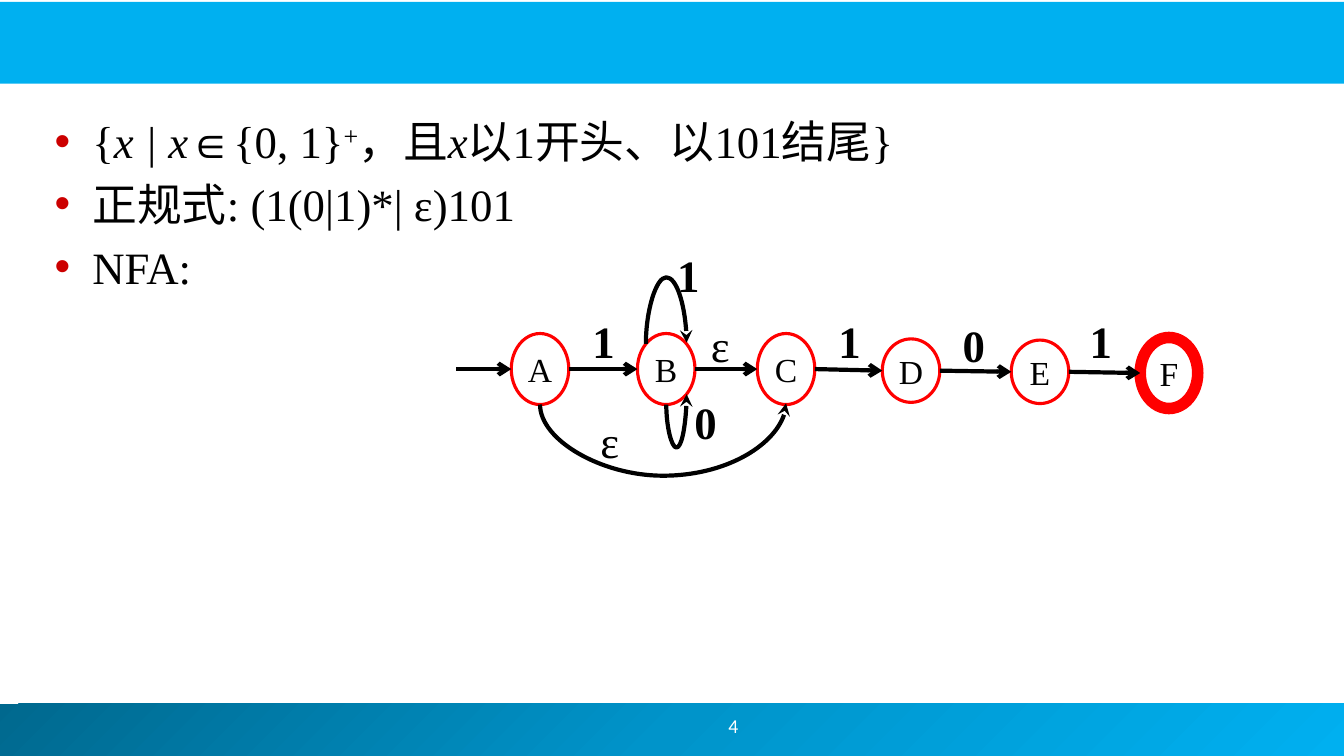
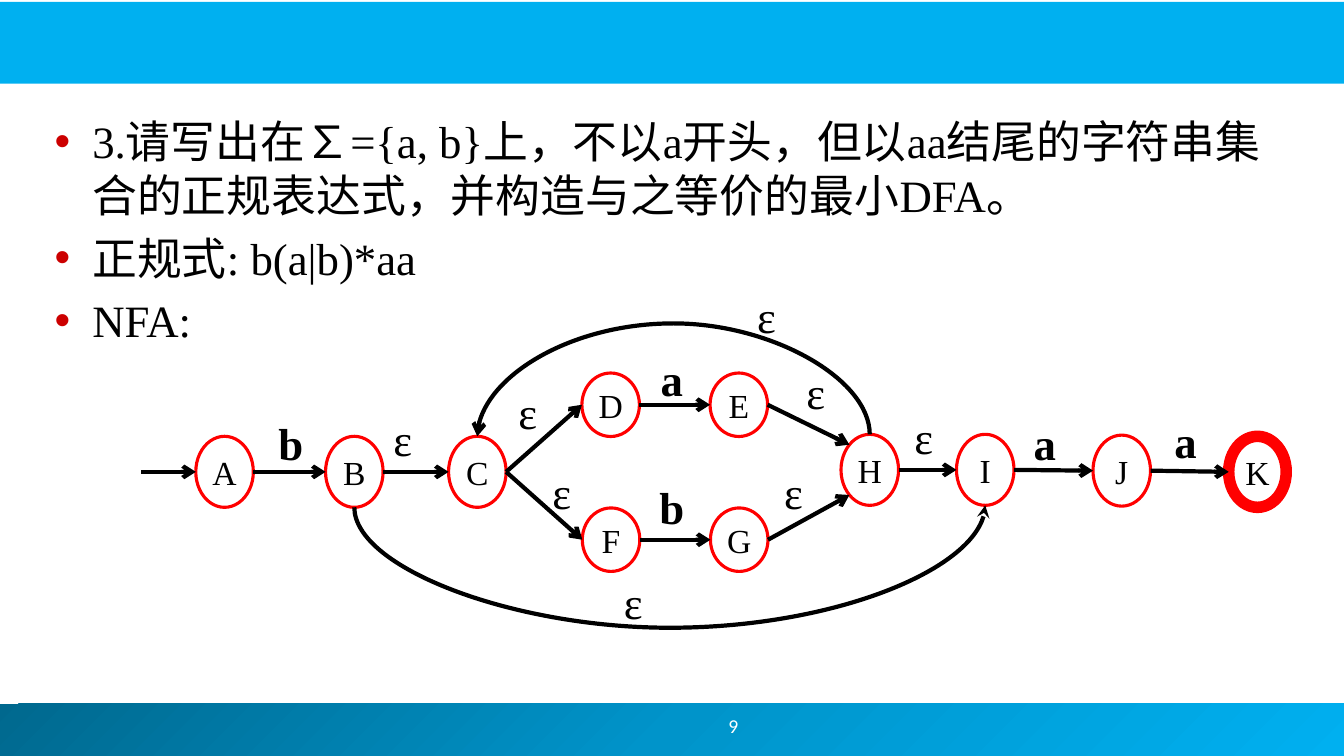
"""Build two slides that show regular expressions with their NFA diagrams."""
import copy
from dataclasses import dataclass
from typing import Any, Optional

import lxml.etree
import pptx
import pptx.dml.color
import pptx.enum.shapes
import pptx.enum.text
import pptx.oxml.ns
import pptx.util

Cm = pptx.util.Cm
Pt = pptx.util.Pt
qn = pptx.oxml.ns.qn
SHAPE = pptx.enum.shapes.MSO_SHAPE
CONNECTOR = pptx.enum.shapes.MSO_CONNECTOR
ANCHOR = pptx.enum.text.MSO_ANCHOR
CENTER = pptx.enum.text.PP_ALIGN.CENTER

COLORS = {
    "band": "00B0F0",
    "footer_start": "00688E",
    "footer_middle": "0094CA",
    "bullet": "CC0000",
    "state": "FF0000",
    "text": "000000",
    "page": "FFFFFF",
}
SERIF = "Times New Roman"
BODY_FONT = {"name": SERIF, "size": Pt(32)}
STATE_FONT = {"name": SERIF, "size": Pt(24)}
PAGE_FONT = {"name": "Calibri", "size": Pt(14)}
STATE_WIDTH = 1.45
ENTRY_LENGTH = 1.38
LABEL_WIDTH, LABEL_HEIGHT = 1.07, 1.63
SIDES = {
    "left": (0, 0.5),
    "right": (1, 0.5),
    "top": (0.5, 0),
    "bottom": (0.5, 1),
    "top left": (0.146, 0.146),
    "top right": (0.854, 0.146),
    "bottom left": (0.146, 0.854),
    "bottom right": (0.854, 0.854),
}


@dataclass(frozen=True)
class Run:
    text: str
    italic: bool = False
    superscript: bool = False


@dataclass(frozen=True)
class State:
    name: str
    x: float
    y: float
    height: float = 1.79
    final: bool = False

    def point(self, side: str) -> tuple[float, float]:
        across, down = SIDES[side]
        return self.x + (across - 0.5) * STATE_WIDTH, self.y + (down - 0.5) * self.height


@dataclass(frozen=True)
class Transition:
    source: str
    target: str
    label: str
    label_x: float
    label_top: float
    leave: str = "right"
    enter: str = "left"
    bend: Optional[float] = None
    head: str = "arrow"


@dataclass(frozen=True)
class Automaton:
    page: str
    bullets: list[list[Run]]
    states: list[State]
    transitions: list[Transition]


AUTOMATA = [
    Automaton(
        "4",
        [
            [
                Run("{"), Run("x | x", italic=True), Run("∈{0, 1}"),
                Run("+", superscript=True), Run("，且"), Run("x", italic=True),
                Run("以1开头、以101结尾}"),
            ],
            [Run("正规式: (1(0|1)*| ε)101")],
            [Run("NFA:")],
        ],
        [
            State("A", 13.61, 9.3),
            State("B", 16.79, 9.3),
            State("C", 19.81, 9.3),
            State("D", 22.96, 9.34, 1.6),
            State("E", 26.21, 9.37, 1.6),
            State("F", 29.46, 9.4, final=True),
        ],
        [
            Transition("A", "B", "1", 15.21, 7.77),
            Transition("B", "C", "ε", 18.15, 7.87),
            Transition("C", "D", "1", 21.41, 7.77),
            Transition("D", "E", "0", 24.54, 7.87),
            Transition("E", "F", "1", 27.74, 7.77),
            Transition("B", "B", "1", 17.35, 6.12, "top left", "top right", 6.99, "stealth"),
            Transition("B", "B", "0", 17.78, 9.83, "bottom", "bottom right", 11.28, "stealth"),
            Transition("A", "C", "ε", 15.37, 10.29, "bottom", "bottom", 11.99, "stealth"),
        ],
    ),
    Automaton(
        "9",
        [
            [Run("3.请写出在∑={a, b}上，不以a开头，但以aa结尾的字符串集合的正规表达式，并构造与之等价的最小DFA。")],
            [Run("正规式: b(a|b)*aa")],
            [Run("NFA:")],
        ],
        [
            State("A", 5.66, 11.89),
            State("B", 8.93, 11.89),
            State("C", 12.03, 11.89),
            State("D", 15.39, 10.2, 1.6),
            State("E", 18.62, 10.2, 1.6),
            State("F", 15.4, 13.6, 1.6),
            State("G", 18.63, 13.6, 1.6),
            State("H", 21.92, 11.84),
            State("I", 24.83, 11.84),
            State("J", 28.27, 11.86),
            State("K", 31.69, 11.89, final=True),
        ],
        [
            Transition("A", "B", "b", 7.3, 10.34),
            Transition("B", "C", "ε", 10.15, 10.26),
            Transition("C", "D", "ε", 13.3, 9.58),
            Transition("C", "F", "ε", 14.16, 11.58),
            Transition("D", "E", "a", 16.93, 8.74),
            Transition("F", "G", "b", 16.9, 11.96),
            Transition("E", "H", "ε", 20.56, 9.07, enter="top left"),
            Transition("G", "H", "ε", 20, 11.58, enter="bottom left"),
            Transition("H", "I", "ε", 23.28, 10.19),
            Transition("I", "J", "a", 26.33, 10.36),
            Transition("J", "K", "a", 29.88, 10.29),
            Transition("H", "C", "ε", 19.32, 7.14, "top", "top", 8.15),
            Transition("B", "I", "ε", 15.96, 14.35, "bottom", "bottom", 15.82, "stealth"),
        ],
    ),
]


def rgb(name: str) -> pptx.dml.color.RGBColor:
    """Return a named colour."""
    return pptx.dml.color.RGBColor.from_string(COLORS[name])


def set_attributes(target: Any, values: dict[str, Any]) -> None:
    """Set every given attribute on the target."""
    for name, value in values.items():
        setattr(target, name, value)


def add_run(paragraph: Any, text: str, font: dict[str, Any], color: str = "text") -> Any:
    """Append formatted text to a paragraph."""
    run = paragraph.add_run()
    run.text = text
    set_attributes(run.font, font)
    run.font.color.rgb = rgb(color)
    return run


def write_centered(shape: Any, text: str, font: dict[str, Any], color: str = "text",
                   anchor: Any = ANCHOR.MIDDLE) -> None:
    """Write one centred line that does not wrap."""
    set_attributes(shape.text_frame, {"word_wrap": False, "vertical_anchor": anchor})
    paragraph = shape.text_frame.paragraphs[0]
    paragraph.alignment = CENTER
    add_run(paragraph, text, font, color)


def add_bands(slide: Any) -> None:
    """Draw the header and footer bands and move them to the layout."""
    footer = slide.shapes.add_shape(SHAPE.RECTANGLE, Cm(-0.13), Cm(17.73), Cm(34), Cm(1.32))
    header = slide.shapes.add_shape(SHAPE.RECTANGLE, Cm(-0.05), Cm(0.05), Cm(33.93), Cm(2.06))
    header.fill.solid()
    header.fill.fore_color.rgb = rgb("band")
    footer.fill.gradient()
    footer.fill.gradient_angle = 315
    stop_list = footer.element.spPr.find(".//" + qn("a:gsLst"))
    stop_list.insert(1, copy.deepcopy(stop_list[0]))
    names = ("footer_start", "footer_middle", "band")
    for index, (stop, name) in enumerate(zip(footer.fill.gradient_stops, names)):
        stop.color.rgb = rgb(name)
        stop.position = index / 2
    for index, band in enumerate((footer, header)):
        band.line.fill.background()
        band.shadow.inherit = False
        slide.slide_layout.shapes.element.insert(2 + index, band.element)


def fill_body(body: Any, bullets: list[list[Run]]) -> None:
    """Place the body placeholder and write its bullets."""
    set_attributes(body, {"left": Cm(1.12), "top": Cm(2.74), "width": Cm(31.6), "height": Cm(13.82)})
    frame = body.text_frame
    frame.auto_size = pptx.enum.text.MSO_AUTO_SIZE.NONE
    for index, runs in enumerate(bullets):
        paragraph = frame.add_paragraph() if index else frame.paragraphs[0]
        properties = paragraph._p.get_or_add_pPr()
        bullet_color = lxml.etree.SubElement(properties, qn("a:buClr"))
        lxml.etree.SubElement(bullet_color, qn("a:srgbClr"), val=COLORS["bullet"])
        for item in runs:
            run = add_run(paragraph, item.text, {**BODY_FONT, "italic": item.italic})
            if item.superscript:
                run.font._element.set("baseline", "30000")


def add_state(slide: Any, state: State) -> None:
    """Draw one state, with a thick ring when it is final."""
    left, top = state.x - STATE_WIDTH / 2, state.y - state.height / 2
    oval = slide.shapes.add_shape(SHAPE.OVAL, Cm(left), Cm(top), Cm(STATE_WIDTH), Cm(state.height))
    oval.fill.background()
    oval.shadow.inherit = False
    oval.line.color.rgb = rgb("state")
    oval.line.width = Pt(8.25 if state.final else 2.25)
    write_centered(oval, state.name, STATE_FONT)


def add_arrow(slide: Any, kind: Any, start: tuple[float, float], end: tuple[float, float],
              head: str) -> Any:
    """Draw a connector with an arrowhead at its end."""
    connector = slide.shapes.add_connector(kind, *(Cm(value) for value in (*start, *end)))
    connector.line.color.rgb = rgb("text")
    connector.line.width = Pt(3)
    properties = connector.element.spPr
    lxml.etree.SubElement(properties.find(qn("a:ln")), qn("a:tailEnd"), type=head)
    lxml.etree.SubElement(properties, qn("a:effectLst"))
    return connector


def add_arc(slide: Any, start: tuple[float, float], end: tuple[float, float], bend: float,
            head: str) -> None:
    """Draw a turned curved connector that reaches the height of the bend."""
    (start_x, start_y), (end_x, end_y) = start, end
    if abs(end_y - start_y) < 0.02:
        end_y = start_y - 0.03
    rise = end_y - start_y
    half_width, half_height = abs(rise) / 2, abs(end_x - start_x) / 2
    x, y = (start_x + end_x) / 2, (start_y + end_y) / 2
    connector = add_arrow(slide, CONNECTOR.CURVE, (x - half_width, y - half_height),
                          (x + half_width, y + half_height), head)
    rising = rise < 0
    frame = connector.element.spPr.find(qn("a:xfrm"))
    frame.set("rot", str((90 if rising else 270) * 60000))
    frame.set("flipH", "1")
    if (end_x > start_x) == rising:
        frame.set("flipV", "1")
    adjustments = connector.element.spPr.find(".//" + qn("a:avLst"))
    value = round((bend - start_y) / rise * 100000)
    lxml.etree.SubElement(adjustments, qn("a:gd"), name="adj1", fmla=f"val {value}")


def add_transition(slide: Any, transition: Transition, states: dict[str, State]) -> None:
    """Draw one transition and its label."""
    start = states[transition.source].point(transition.leave)
    end = states[transition.target].point(transition.enter)
    if transition.bend is None:
        add_arrow(slide, CONNECTOR.STRAIGHT, start, end, transition.head)
    else:
        add_arc(slide, start, end, transition.bend, transition.head)
    label = slide.shapes.add_textbox(Cm(transition.label_x - LABEL_WIDTH / 2),
                                     Cm(transition.label_top), Cm(LABEL_WIDTH), Cm(LABEL_HEIGHT))
    font = {**BODY_FONT, "bold": transition.label != "ε"}
    write_centered(label, transition.label, font, anchor=ANCHOR.TOP)


def add_automaton_slide(presentation: Any, automaton: Automaton) -> Any:
    """Add a slide with bullets, a page number and a diagram."""
    slide = presentation.slides.add_slide(presentation.slide_layouts[1])
    title = slide.shapes.title.element
    title.getparent().remove(title)
    fill_body(slide.placeholders[1], automaton.bullets)
    page = slide.shapes.add_textbox(Cm(14.81), Cm(17.65), Cm(7.34), Cm(1.27))
    write_centered(page, automaton.page, PAGE_FONT, "page")
    for state in automaton.states:
        add_state(slide, state)
    entry_x, entry_y = automaton.states[0].point("left")
    add_arrow(slide, CONNECTOR.STRAIGHT, (entry_x - ENTRY_LENGTH, entry_y), (entry_x, entry_y), "arrow")
    states = {state.name: state for state in automaton.states}
    for transition in automaton.transitions:
        add_transition(slide, transition, states)
    return slide


def main() -> None:
    """Build and save the presentation."""
    presentation = pptx.Presentation()
    set_attributes(presentation, {"slide_width": Cm(33.87), "slide_height": Cm(19.05)})
    slides = [add_automaton_slide(presentation, automaton) for automaton in AUTOMATA]
    add_bands(slides[0])
    presentation.save("out.pptx")


if __name__ == "__main__":
    main()
